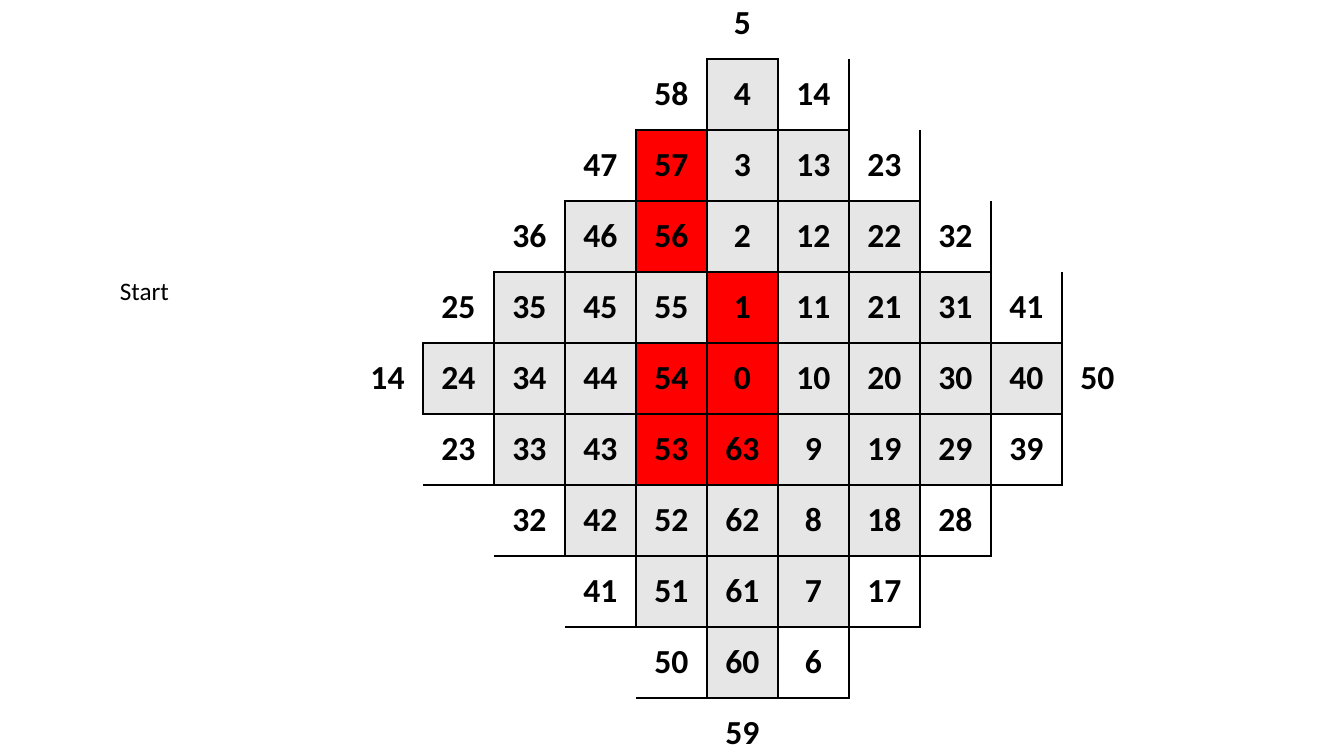
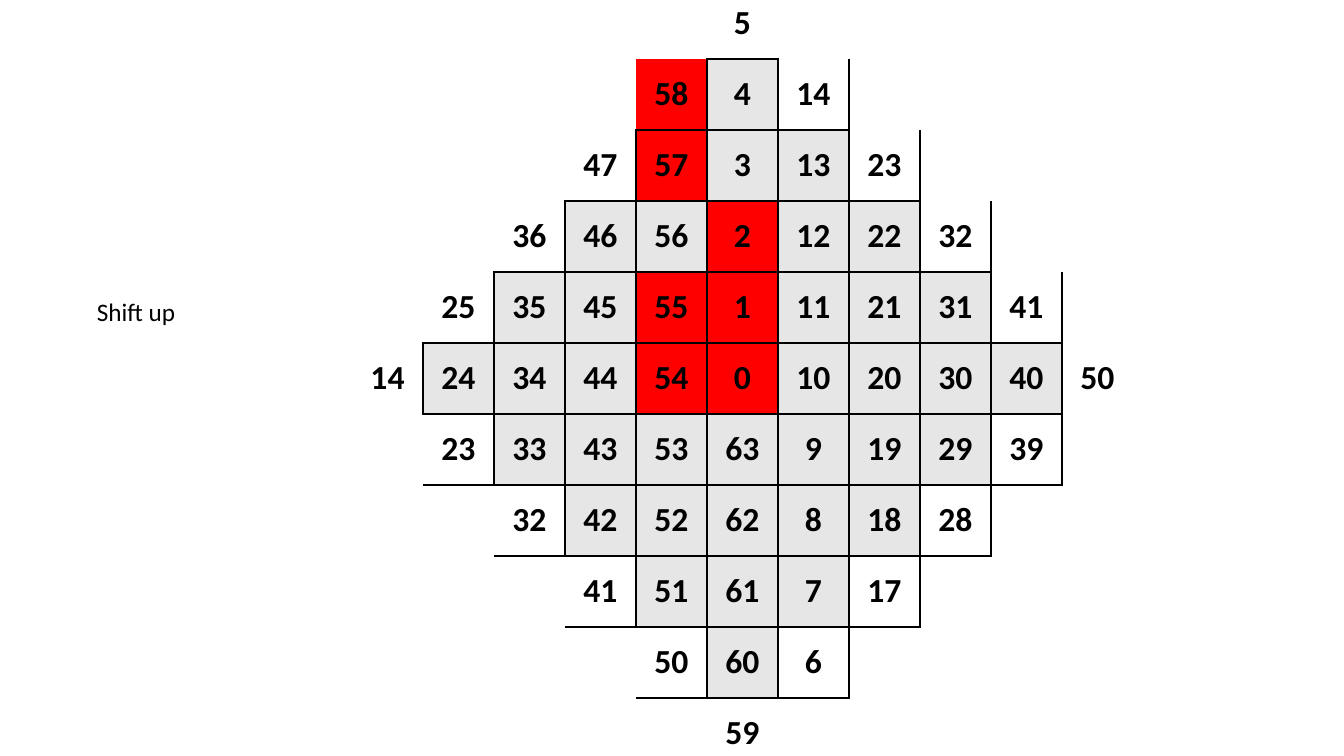
from dataclasses import dataclass

from lxml import etree
from pptx import Presentation
from pptx import util as u
from pptx.dml.color import RGBColor
from pptx.enum import text
from pptx.oxml.ns import qn

SLIDE_WIDTH, SLIDE_HEIGHT = 1344, 756
EMU_PER_PIXEL = 12192000 / SLIDE_WIDTH
FONT = "Calibri"
BLACK, GREY, RED = "000000", "E7E6E6", "FF0000"
PLAIN_TABLE_STYLE = "{2D5ABB26-0587-4C30-8999-92F81FD0307C}"

BOARD_LEFT, BOARD_TOP, CELL = 352, -12, 71
RADIUS = 4
CENTRE = RADIUS + 1
SIZE = 2 * CENTRE + 1
STEP_RIGHT, STEP_UP, MODULUS = 10, 1, 64
# Border tags in schema order, with the step to the neighbour on that side.
SIDES = {"a:lnL": (-1, 0), "a:lnR": (1, 0), "a:lnT": (0, 1), "a:lnB": (0, -1)}
# Marked cells as (steps right, steps up) from the centre.
PATTERN = [(-1, 3), (-1, 2), (0, 1), (-1, 0), (0, 0), (-1, -1), (0, -1)]


@dataclass(frozen=True)
class Board:
    """One slide: its caption and how far the pattern is moved up."""
    caption: str
    left: int
    top: int
    width: int
    shift_up: int


BOARDS = [
    Board("Start", 110, 270, 70, 0),
    Board("Shift up", 87, 291, 100, 1),
]


def px(pixels: int) -> u.Emu:
    """Turn pixels into EMU."""
    return u.Emu(round(pixels * EMU_PER_PIXEL))


def colour(value: str) -> RGBColor:
    """Turn a hex string into a colour."""
    return RGBColor.from_string(value)


def write(paragraph, content: str, **font_format) -> None:
    """Add a run in the shared font with the given font values."""
    run = paragraph.add_run()
    run.text = content
    for name, value in {"name": FONT, **font_format}.items():
        setattr(run.font, name, value)
    run.font.color.rgb = colour(BLACK)


def distance(right: int, up: int) -> int:
    """Count the steps from the centre of the board."""
    return abs(right) + abs(up)


def add_border(cell, tag: str) -> None:
    """Draw a thin line on one side of a cell."""
    properties = cell._tc.get_or_add_tcPr()
    line = etree.SubElement(properties, qn(tag), w=str(u.Pt(1)))
    fill = etree.SubElement(line, qn("a:solidFill"))
    etree.SubElement(fill, qn("a:srgbClr"), val=BLACK)


def fill_cell(cell, right: int, up: int, marked: bool) -> None:
    """Give a board cell its borders, fill and number."""
    inside = distance(right, up) <= RADIUS
    for tag, (step_right, step_up) in SIDES.items():
        if inside or distance(right + step_right, up + step_up) <= RADIUS:
            add_border(cell, tag)
    if inside or marked:
        cell.fill.solid()
        cell.fill.fore_color.rgb = colour(RED if marked else GREY)
    else:
        cell.fill.background()
    if distance(right, up) <= CENTRE:
        cell.vertical_anchor = text.MSO_ANCHOR.MIDDLE
        paragraph = cell.text_frame.paragraphs[0]
        paragraph.alignment = text.PP_ALIGN.CENTER
        number = (STEP_RIGHT * right + STEP_UP * up) % MODULUS
        write(paragraph, str(number), size=u.Pt(24), bold=True)


def add_board(slide, shift_up: int) -> None:
    """Add the diamond of numbers with its marked pattern."""
    table = slide.shapes.add_table(
        SIZE, SIZE, px(BOARD_LEFT), px(BOARD_TOP), px(SIZE * CELL), px(SIZE * CELL)
    ).table
    table.first_row = table.horz_banding = False
    table._tbl.tblPr.find(qn("a:tableStyleId")).text = PLAIN_TABLE_STYLE
    for column in table.columns:
        column.width = px(CELL)
    for row in table.rows:
        row.height = px(CELL)
    marked = {(right, up + shift_up) for right, up in PATTERN}
    for row_index in range(SIZE):
        for column_index in range(SIZE):
            right, up = column_index - CENTRE, CENTRE - row_index
            cell = table.cell(row_index, column_index)
            fill_cell(cell, right, up, (right, up) in marked)


def add_caption(slide, board: Board) -> None:
    """Add the caption beside the board."""
    box = slide.shapes.add_textbox(px(board.left), px(board.top), px(board.width), px(40))
    frame = box.text_frame
    frame.word_wrap = False
    frame.auto_size = text.MSO_AUTO_SIZE.SHAPE_TO_FIT_TEXT
    write(frame.paragraphs[0], board.caption, size=u.Pt(18))


def main() -> None:
    """Build and save the presentation."""
    presentation = Presentation()
    presentation.slide_width = px(SLIDE_WIDTH)
    presentation.slide_height = px(SLIDE_HEIGHT)
    for board in BOARDS:
        slide = presentation.slides.add_slide(presentation.slide_layouts[6])
        add_board(slide, board.shift_up)
        add_caption(slide, board)
    presentation.save("out.pptx")


main()
